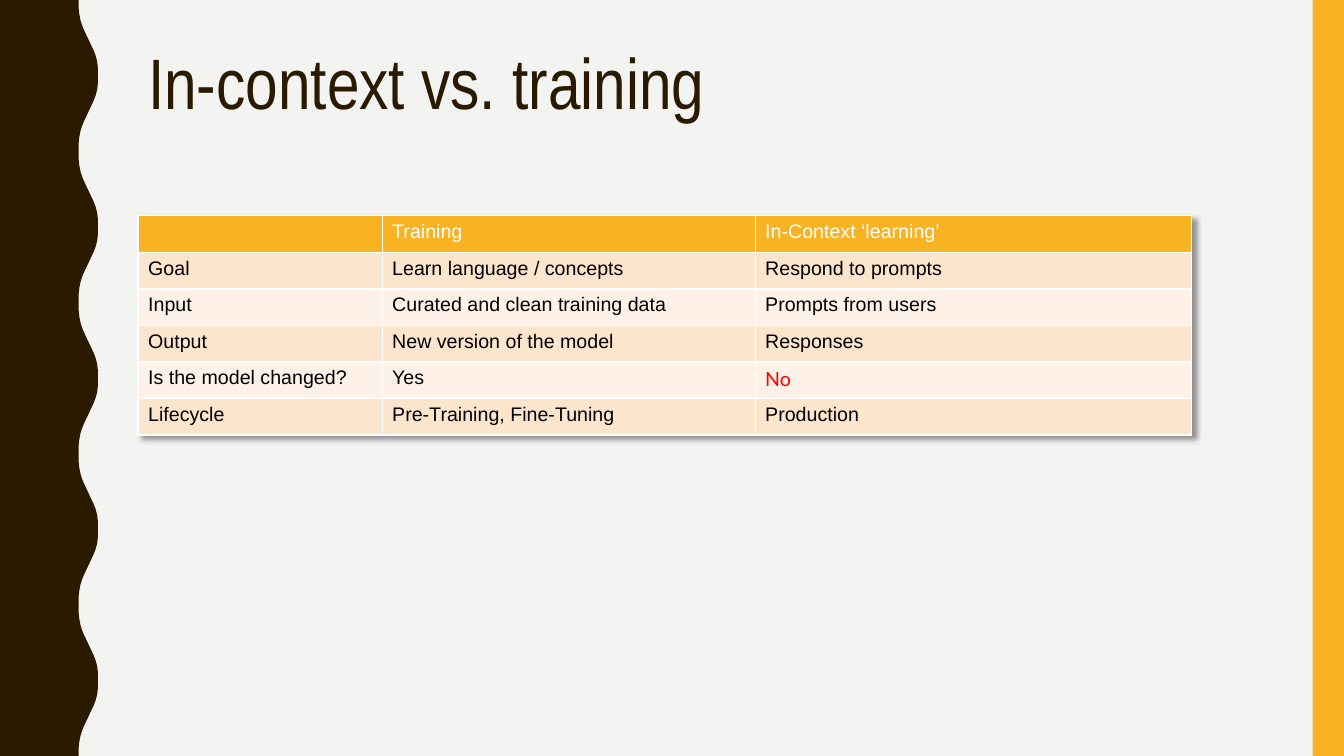
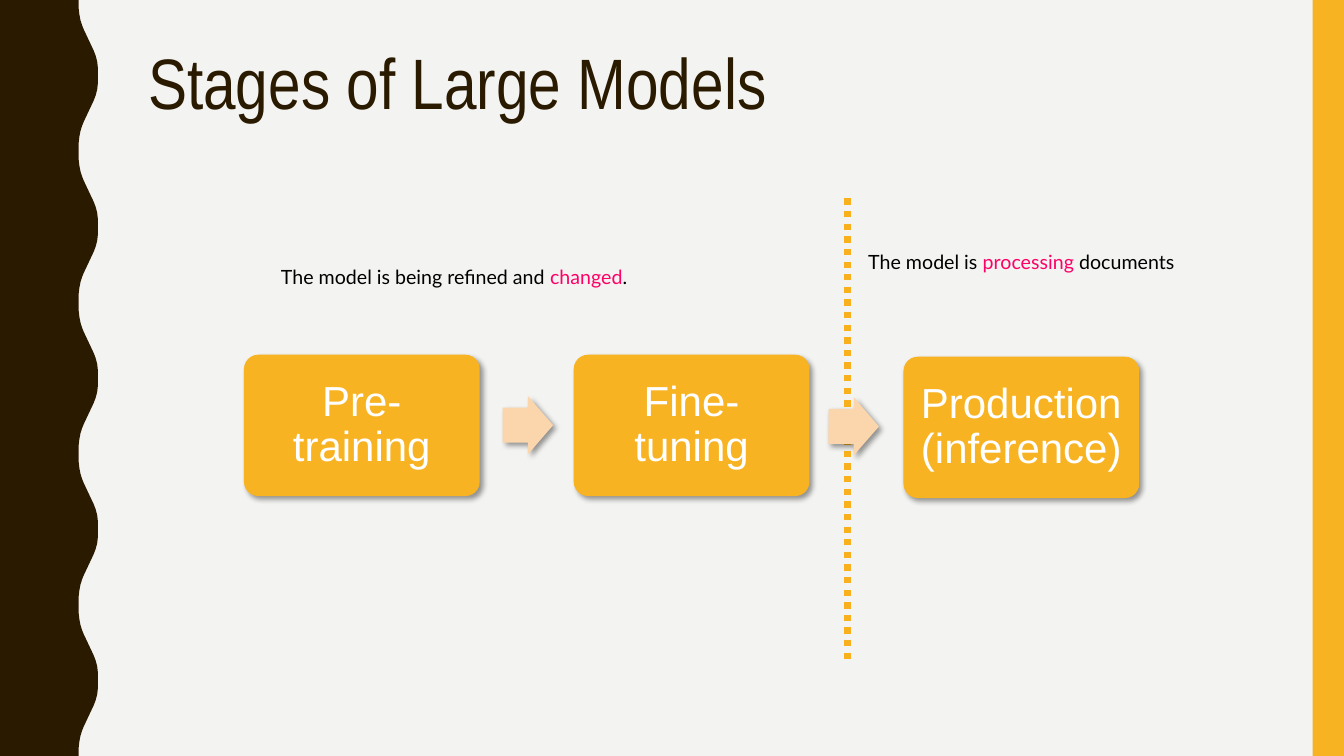
from dataclasses import dataclass
from typing import Any

import lxml.etree
import pptx
import pptx.dml.color
import pptx.enum.dml
import pptx.enum.shapes
import pptx.enum.text
import pptx.oxml.ns
import pptx.util

Cm = pptx.util.Cm
Pt = pptx.util.Pt
qn = pptx.oxml.ns.qn
SHAPE = pptx.enum.shapes.MSO_SHAPE
ALIGN = pptx.enum.text.PP_ALIGN
ANCHOR = pptx.enum.text.MSO_ANCHOR

# Shared look
WIDTH, HEIGHT = 33.87, 19.05
PAPER, BROWN, GOLD, PEACH = "F3F3F2", "2A1A00", "F8B323", "FBD6AC"
DIVIDER, BAND_DARK, BAND_LIGHT = "F8B11D", "FCE5CD", "FEF2E8"
WHITE, BLACK, RED, PINK = "FFFFFF", "000000", "FF0000", "FF0066"
HEADING, BODY, ACCENT = "Arial Narrow", "Arial", "Lato"

# Half a wave of the left band as (y, x); the other half mirrors it
WAVE_PERIOD, WAVE_COUNT = 3.81, 5
HALF_WAVE = [(0, 1.98), (0.18, 1.98), (0.36, 2.0), (0.51, 2.03), (0.64, 2.07),
             (0.74, 2.11), (1.27, 2.36), (1.4, 2.41), (1.55, 2.45),
             (1.73, 2.47), (1.9, 2.47)]

# Comparison table
COLUMN_WIDTHS = [6.15, 9.4, 11.0]
ROW_HEIGHT = 0.92
ROWS = [
    ("", "Training", "In-Context ‘learning’"),
    ("Goal", "Learn language / concepts", "Respond to prompts"),
    ("Input", "Curated and clean training data", "Prompts from users"),
    ("Output", "New version of the model", "Responses"),
    ("Is the model changed?", "Yes", "No"),
    ("Lifecycle", "Pre-Training, Fine-Tuning", "Production"),
]


@dataclass
class Box:
    left: float
    top: float
    width: float
    height: float

    def lengths(self) -> list[int]:
        return [Cm(v) for v in (self.left, self.top, self.width, self.height)]


@dataclass
class Stage:
    label: str
    top: float


@dataclass
class Arrow:
    left: float
    top: float
    rotation: float


@dataclass
class Caption:
    box: Box
    phrases: tuple[str, str, str]  # the middle phrase is highlighted
    align: Any


STAGES = [Stage("Pre-training", 8.94), Stage("Fine-tuning", 8.94),
          Stage("Production (inference)", 8.99)]
STAGE_LEFT, STAGE_STEP = 6.15, 8.31
ARROWS = [Arrow(12.67, 9.98, 0), Arrow(20.88, 10.01, 0.4)]
CAPTIONS = [
    Caption(Box(6.83, 6.55, 12.8, 1.02),
            ("The model is being refined and ", "changed", "."), ALIGN.LEFT),
    Caption(Box(21.46, 6.17, 8.56, 1.8),
            ("The model is ", "processing", " documents"), ALIGN.CENTER),
]


def rgb(value: str) -> Any:
    return pptx.dml.color.RGBColor.from_string(value)


def paint(fill: Any, color: str) -> None:
    fill.solid()
    fill.fore_color.rgb = rgb(color)


def style(r: Any, name: str, size: float, color: str) -> None:
    r.font.name = name
    r.font.size = Pt(size)
    r.font.color.rgb = rgb(color)


def add_shadow(effects: Any) -> None:
    """Fill an a:effectLst with the soft lower-right shadow."""
    shadow = lxml.etree.SubElement(
        effects, qn("a:outerShdw"), blurRad=str(Pt(4)), dist=str(Pt(3)),
        dir="2700000", algn="tl", rotWithShape="0")
    color = lxml.etree.SubElement(shadow, qn("a:srgbClr"), val=BLACK)
    lxml.etree.SubElement(color, qn("a:alpha"), val="40000")


def finish(sp: Any, color: str, shadow: bool = False) -> Any:
    paint(sp.fill, color)
    sp.line.fill.background()
    sp.shadow.inherit = False
    if shadow:
        add_shadow(sp.element.spPr.find(qn("a:effectLst")))
    return sp


def add_bands(s: Any, master: Any) -> None:
    """Draw both side bands and hand them to the slide master."""
    edge = []
    for i in range(WAVE_COUNT):
        start = i * WAVE_PERIOD
        edge += [(x, start + y) for y, x in HALF_WAVE]
        edge += [(x, start + WAVE_PERIOD - y) for y, x in reversed(HALF_WAVE)]
    builder = s.shapes.build_freeform(0, 0)
    builder.add_line_segments(
        [(Cm(x), Cm(y)) for x, y in edge + [(0, HEIGHT)]], close=True)
    wave = finish(builder.convert_to_shape(), BROWN)
    band = Box(33.08, 0, WIDTH - 33.08, HEIGHT)
    stripe = finish(s.shapes.add_shape(SHAPE.RECTANGLE, *band.lengths()), GOLD)
    for i, sp in enumerate((wave, stripe)):
        sp.element.nvSpPr.cNvPr.set("id", str(101 + i))
        master.shapes.element.insert(2 + i, sp.element)


def add_slide(prs: Any, title: str) -> Any:
    s = prs.slides.add_slide(prs.slide_layouts[5])
    sp = s.shapes.title
    sp.left, sp.top, sp.width, sp.height = Box(3.48, 1.07, 28.27, 4.14).lengths()
    tf = sp.text_frame
    tf.text = title
    tf.auto_size = pptx.enum.text.MSO_AUTO_SIZE.NONE
    tf.vertical_anchor = ANCHOR.TOP
    p = tf.paragraphs[0]
    p.alignment = ALIGN.LEFT
    p.line_spacing = 0.9
    style(p.runs[0], HEADING, 51, BROWN)
    return s


def add_borders(cell: Any) -> None:
    props = cell._tc.get_or_add_tcPr()
    for i, side in enumerate(("lnL", "lnR", "lnT", "lnB")):
        line = lxml.etree.Element(qn(f"a:{side}"), w=str(Pt(1)))
        fill = lxml.etree.SubElement(line, qn("a:solidFill"))
        lxml.etree.SubElement(fill, qn("a:srgbClr"), val=WHITE)
        props.insert(i, line)


def add_comparison(s: Any) -> None:
    box = Box(3.48, 5.44, sum(COLUMN_WIDTHS), ROW_HEIGHT * len(ROWS))
    table = s.shapes.add_table(
        len(ROWS), len(COLUMN_WIDTHS), *box.lengths()).table
    table.first_row = table.horz_banding = False
    effects = lxml.etree.Element(qn("a:effectLst"))
    add_shadow(effects)
    table._tbl.tblPr.insert(0, effects)
    for column, width in zip(table.columns, COLUMN_WIDTHS):
        column.width = Cm(width)
    for i, row in enumerate(ROWS):
        table.rows[i].height = Cm(ROW_HEIGHT)
        for j, text in enumerate(row):
            cell = table.cell(i, j)
            paint(cell.fill, GOLD if i == 0 else BAND_DARK if i % 2 else BAND_LIGHT)
            add_borders(cell)
            p = cell.text_frame.paragraphs[0]
            p.text = text
            p.font.size = Pt(14)
            for r in p.runs:
                if text == "No":
                    style(r, ACCENT, 14, RED)
                else:
                    style(r, BODY, 14, BLACK if i else WHITE)


def add_divider(s: Any) -> None:
    line = s.shapes.add_connector(
        pptx.enum.shapes.MSO_CONNECTOR.STRAIGHT,
        Cm(21.36), Cm(5), Cm(21.36), Cm(16.74))
    line.line.color.rgb = rgb(DIVIDER)
    line.line.width = Pt(4.5)
    line.line.dash_style = pptx.enum.dml.MSO_LINE.ROUND_DOT
    lxml.etree.SubElement(line.element.spPr, qn("a:effectLst"))


def add_stage(s: Any, stage: Stage, left: float) -> None:
    box = Box(left, stage.top, 5.94, 3.56)
    sp = s.shapes.add_shape(SHAPE.ROUNDED_RECTANGLE, *box.lengths())
    sp.adjustments[0] = 0.1
    finish(sp, GOLD, shadow=True)
    tf = sp.text_frame
    tf.text = stage.label
    tf.word_wrap = True
    tf.vertical_anchor = ANCHOR.MIDDLE
    tf.margin_left = tf.margin_right = Cm(0.32)
    tf.margin_top = tf.margin_bottom = Cm(0.32)
    p = tf.paragraphs[0]
    p.alignment = ALIGN.CENTER
    p.line_spacing = 0.9
    style(p.runs[0], BODY, 30, WHITE)


def add_arrow(s: Any, arrow: Arrow) -> None:
    box = Box(arrow.left, arrow.top, 1.27, 1.47)
    sp = s.shapes.add_shape(SHAPE.RIGHT_ARROW, *box.lengths())
    sp.adjustments[0], sp.adjustments[1] = 0.6, 0.5
    sp.rotation = arrow.rotation
    finish(sp, PEACH, shadow=True)


def add_caption(s: Any, caption: Caption) -> None:
    tf = s.shapes.add_textbox(*caption.box.lengths()).text_frame
    tf.word_wrap = True
    p = tf.paragraphs[0]
    p.alignment = caption.align
    for text, color in zip(caption.phrases, (BLACK, PINK, BLACK)):
        r = p.add_run()
        r.text = text
        style(r, ACCENT, 14, color)


def main() -> None:
    prs = pptx.Presentation()
    prs.slide_width, prs.slide_height = Cm(WIDTH), Cm(HEIGHT)
    paint(prs.slide_master.background.fill, PAPER)

    # Comparison slide
    s = add_slide(prs, "In-context vs. training")
    add_bands(s, prs.slide_master)
    add_comparison(s)

    # Stages slide
    s = add_slide(prs, "Stages of Large Models")
    add_divider(s)
    for i, stage in enumerate(STAGES):
        add_stage(s, stage, STAGE_LEFT + i * STAGE_STEP)
    for arrow in ARROWS:
        add_arrow(s, arrow)
    for caption in CAPTIONS:
        add_caption(s, caption)

    prs.save("out.pptx")


if __name__ == "__main__":
    main()
